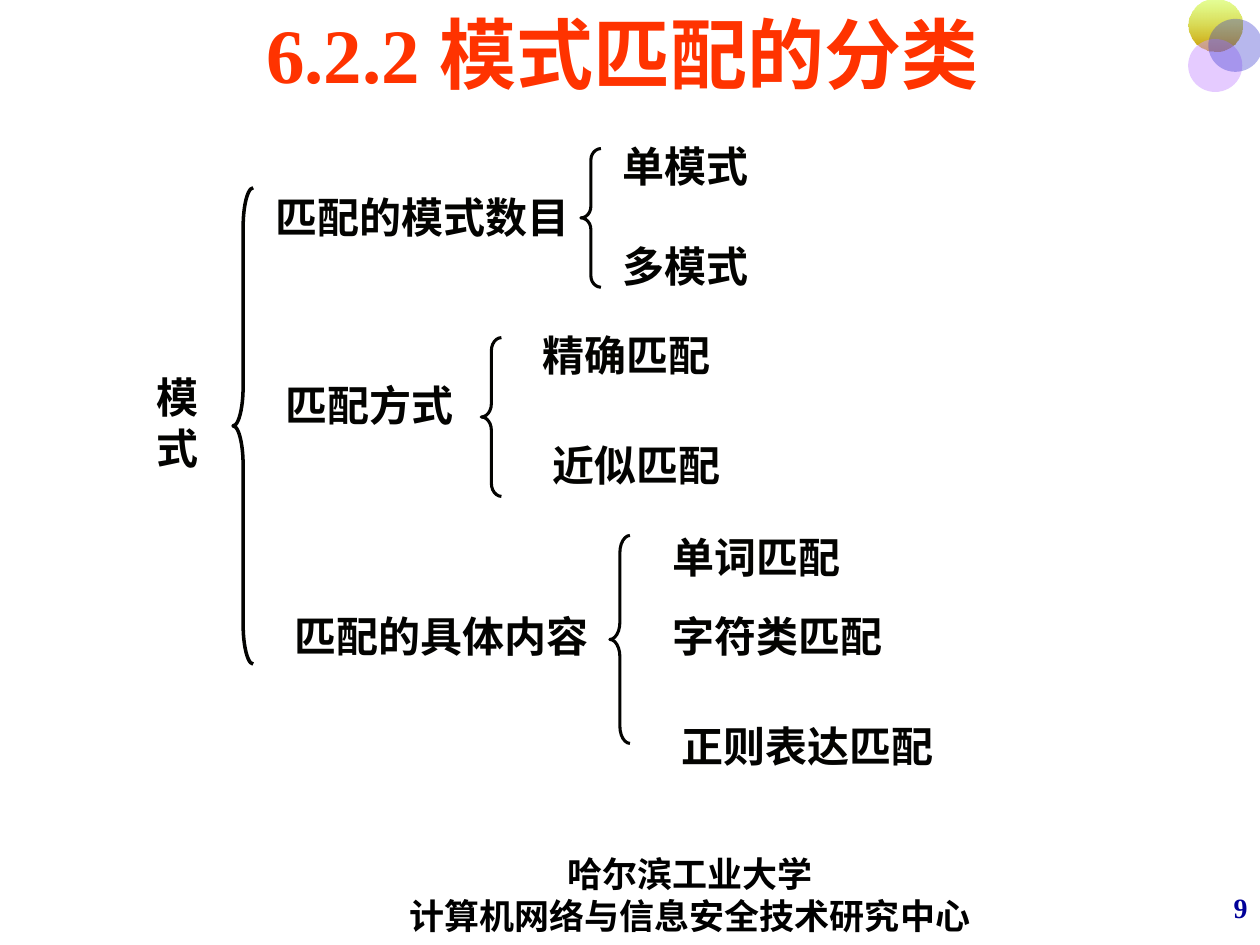
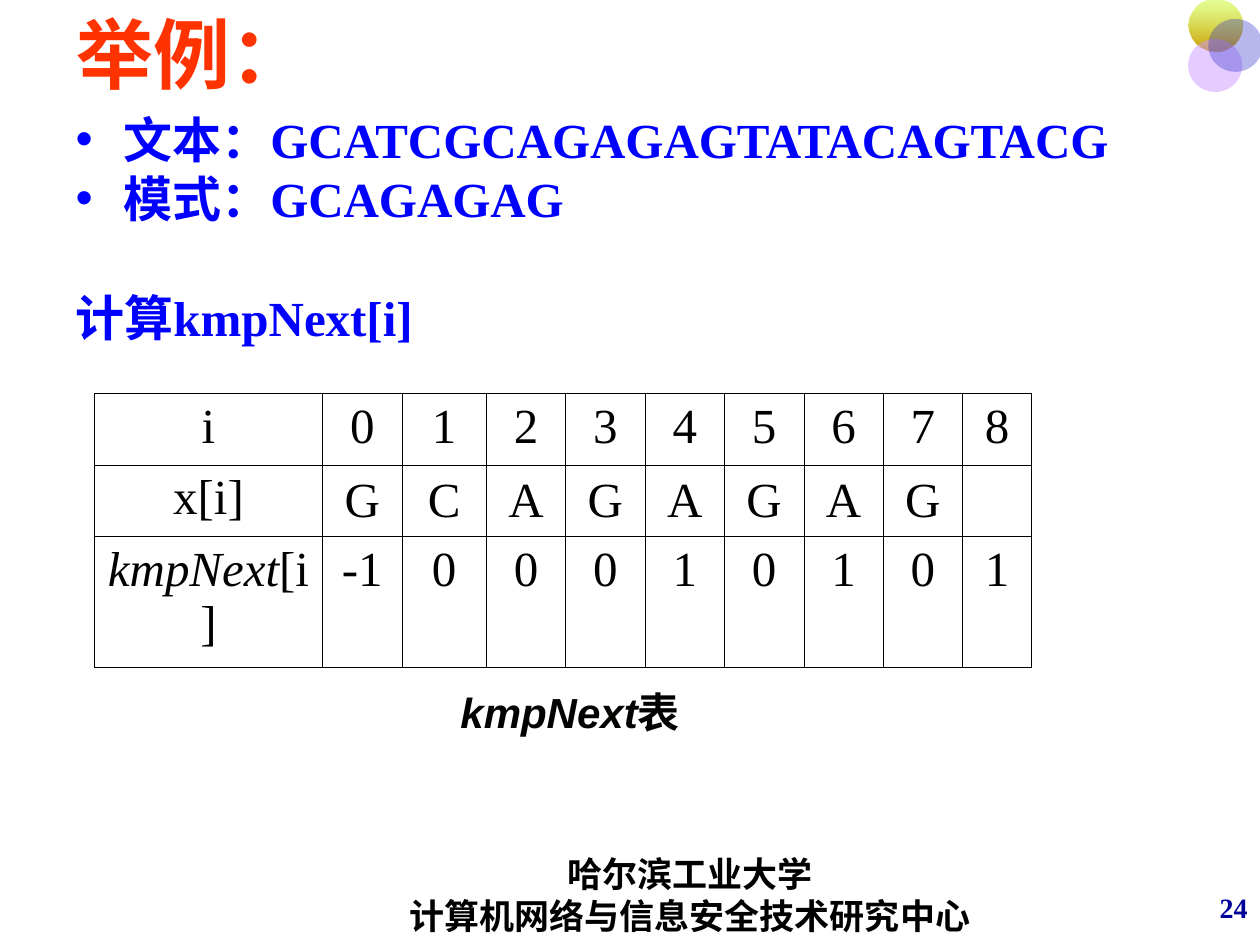
import pptx
import pptx.util
import pptx.dml.color
import pptx.enum.dml
import pptx.enum.lang
import pptx.enum.shapes
import pptx.enum.text
import pptx.oxml
import pptx.oxml.ns

Inches = pptx.util.Inches
Pt = pptx.util.Pt
ALIGN = pptx.enum.text.PP_ALIGN
ANCHOR = pptx.enum.text.MSO_ANCHOR
SHAPE = pptx.enum.shapes.MSO_SHAPE
qn = pptx.oxml.ns.qn

COLORS = {
    "title": "FF3300", "body": "0000FF", "label": "030301", "black": "000000",
    "number": "000099", "lime": "CCFF33", "gold": "CC9900",
    "lilac": "CC99FF", "indigo": "3333CC",
}
SERIF, SANS = "Times New Roman", "Arial"
FORMATS = {
    "title": {"name": SERIF, "size": Pt(44), "bold": True, "color": "title"},
    "body": {"name": SERIF, "size": Pt(28), "bold": True, "color": "body"},
    "label": {"name": SANS, "size": Pt(24), "bold": True, "color": "label"},
    "footer": {"name": SERIF, "size": Pt(20), "bold": True, "color": "black"},
    "number": {"name": SERIF, "size": Pt(16), "bold": True, "color": "number"},
    "cell": {"name": SERIF, "size": Pt(28), "bold": False, "color": "black"},
}
FOOTER = ["哈尔滨工业大学", "计算机网络与信息安全技术研究中心"]


def rgb(name):
    return pptx.dml.color.RGBColor.from_string(COLORS[name])


def xml(tag, parent, **attrs):
    el = pptx.oxml.ns.qn(tag)
    el = parent.makeelement(el, attrs)
    parent.append(el)
    return el


def write(p, text, style, align=ALIGN.LEFT, **extra):
    p.alignment = align
    r = p.add_run()
    r.text = text
    fmt = {**FORMATS[style], **extra}
    r.font.color.rgb = rgb(fmt.pop("color"))
    r.font.language_id = pptx.enum.lang.MSO_LANGUAGE_ID.SIMPLIFIED_CHINESE
    for key, value in fmt.items():
        setattr(r.font, key, value)


def place(sp, x, y, w, h):
    box = {"left": x, "top": y, "width": w, "height": h}
    for key, value in box.items():
        setattr(sp, key, Inches(value))


def frame(sp, anchor=ANCHOR.TOP, wrap=True):
    tf = sp.text_frame
    fmt = {"word_wrap": wrap, "vertical_anchor": anchor,
           "auto_size": pptx.enum.text.MSO_AUTO_SIZE.NONE}
    for key, value in fmt.items():
        setattr(tf, key, value)
    return tf


def text_box(s, x, y, w, h, lines, style, align=ALIGN.LEFT, **frame_options):
    sp = s.shapes.add_textbox(*map(Inches, (x, y, w, h)))
    tf = frame(sp, **frame_options)
    for i, line in enumerate(lines):
        p = tf.add_paragraph() if i else tf.paragraphs[0]
        write(p, line, style, align)
    return tf


def circles(s, x, y):
    specs = [
        (0, 0, [("lime", 50), ("gold", 100)]),
        (0, 0.32, [("lilac", 50)]),
        (0.16, 0.16, [("indigo", 35)]),
    ]
    for dx, dy, tints in specs:
        sp = s.shapes.add_shape(SHAPE.OVAL, *map(Inches, (x + dx, y + dy, 0.43, 0.42)))
        sp.shadow.inherit = False
        sp.line.fill.background()
        if len(tints) > 1:
            sp.fill.gradient()
            sp.fill.gradient_angle = 270
            for stop, (name, _) in zip(sp.fill.gradient_stops, tints):
                stop.color.rgb = rgb(name)
        else:
            sp.fill.solid()
            sp.fill.fore_color.rgb = rgb(tints[0][0])
        for clr, (_, opacity) in zip(sp.element.spPr.iter(qn("a:srgbClr")), tints):
            xml("a:alpha", clr, val=str(opacity * 1000))


def base_slide(prs, layout, title, number, align):
    s = prs.slides.add_slide(prs.slide_layouts.get_by_name(layout))
    place(s.shapes.title, 0.51, 0, 9, 0.84)
    tf = frame(s.shapes.title, ANCHOR.MIDDLE)
    write(tf.paragraphs[0], title, "title", align)
    text_box(s, 9.22, 6.95, 0.78, 0.5, [number], "number", ALIGN.RIGHT,
             anchor=ANCHOR.MIDDLE)
    text_box(s, 2.56, 6.74, 5.83, 0.71, FOOTER, "footer", ALIGN.CENTER,
             anchor=ANCHOR.MIDDLE, wrap=False)
    circles(s, 9.43, -0.01)
    return s


def brace(s, x, y, h, width=1.75):
    w = 0.16
    sp = s.shapes.add_shape(SHAPE.LEFT_BRACE, *map(Inches, (x, y, w, h)))
    sp.adjustments[0] = h / 12 / w
    sp.shadow.inherit = False
    sp.fill.background()
    sp.line.color.rgb = rgb("label")
    sp.line.width = Pt(width)


def match_tree(s, x, y):
    branches = [
        (("匹配的模式数目", 0.95, 0.4), (3.47, 0.11, 1.1),
         [("单模式", 3.7, 0), ("多模式", 3.7, 0.79)]),
        (("匹配方式", 1.03, 1.89), (2.68, 1.61, 1.26),
         [("精确匹配", 3.07, 1.5), ("近似匹配", 3.15, 2.37)]),
        (("匹配的具体内容", 1.1, 3.73), (3.7, 3.18, 1.65),
         [("单词匹配", 4.1, 3.1), ("字符类匹配", 4.1, 3.73),
          ("正则表达匹配", 4.17, 4.6)]),
    ]
    text_box(s, x, y + 1.83, 0.55, 1.51, ["模式"], "label")
    brace(s, x + 0.71, y + 0.42, 3.78, 2)
    for label, (bx, by, bh), leaves in branches:
        brace(s, x + bx, y + by, bh)
        for text, dx, dy in [label, *leaves]:
            text_box(s, x + dx, y + dy, 2.6, 0.5, [text], "label")


def body_list(s, x, y, w, h):
    body = s.placeholders[1]
    place(body, x, y, w, h)
    tf = frame(body)
    items = [("文本：GCATCGCAGAGAGTATACAGTACG", True, 0),
             ("模式：GCAGAGAG", True, 7), ("计算kmpNext[i]", False, 41)]
    for i, (text, bullet, before) in enumerate(items):
        p = tf.add_paragraph() if i else tf.paragraphs[0]
        pPr = p._p.get_or_add_pPr()
        pPr.set("marL", str(Inches(0.38)))
        pPr.set("indent", str(-Inches(0.38)))
        if bullet:
            xml("a:srgbClr", xml("a:buClr", pPr), val=COLORS["body"])
            xml("a:buChar", pPr, char="•")
        else:
            xml("a:buNone", pPr)
        p.line_spacing = 0.8
        p.space_before = Pt(before)
        write(p, text, "body")


def cell_borders(cell, outer):
    tcPr = cell._tc.get_or_add_tcPr()
    for side in "LRTB":
        width = Pt(0.45 if side in outer else 0.34)
        ln = xml(f"a:ln{side}", tcPr, w=str(width))
        xml("a:srgbClr", xml("a:solidFill", ln), val=COLORS["black"])
    cell.fill.background()


def next_table(s, x, y):
    rows = [["i", *"012345678"], ["x[i]", *"GCAGAGAG", ""],
            ["kmpNext[i]", "-1", *"00010101"]]
    widths = [1.81, 0.63, 0.67] + [0.63] * 6 + [0.55]
    heights = [0.57, 0.57, 1.04]
    size = map(Inches, (x, y, sum(widths), sum(heights)))
    table = s.shapes.add_table(len(rows), len(widths), *size).table
    table.first_row = table.horz_banding = False
    for col, w in zip(table.columns, widths):
        col.width = Inches(w)
    for i, (row, h) in enumerate(zip(rows, heights)):
        table.rows[i].height = Inches(h)
        for j, text in enumerate(row):
            cell = table.cell(i, j)
            edges = {"T": i == 0, "B": i == len(rows) - 1,
                     "L": j == 0, "R": j == len(row) - 1}
            cell_borders(cell, [side for side, on in edges.items() if on])
            if i == 1 and j:
                cell.vertical_anchor = ANCHOR.MIDDLE
            name, bracket, index = text.partition("[")
            p = cell.text_frame.paragraphs[0]
            if name:
                write(p, name, "cell", ALIGN.CENTER, italic=name == "kmpNext")
            if bracket:
                write(p, bracket + index, "cell", ALIGN.CENTER)
    tf = text_box(s, x + 0.94, y + 2.28, 5.67, 0.5, [], "label")
    p = tf.paragraphs[0]
    write(p, "kmpNext", "label", ALIGN.CENTER, italic=True)
    write(p, "表", "label", ALIGN.CENTER)


def main():
    prs = pptx.Presentation()
    prs.slide_width, prs.slide_height = Inches(10), Inches(7.5)
    s = base_slide(prs, "Title Only", "6.2.2 模式匹配的分类 ", "9", ALIGN.CENTER)
    match_tree(s, 1.14, 1.07)
    s = base_slide(prs, "Title and Content", "举例：", "24", ALIGN.LEFT)
    body_list(s, 0.5, 0.91, 9, 5.78)
    next_table(s, 0.75, 3.12)
    prs.save("out.pptx")


if __name__ == "__main__":
    main()
